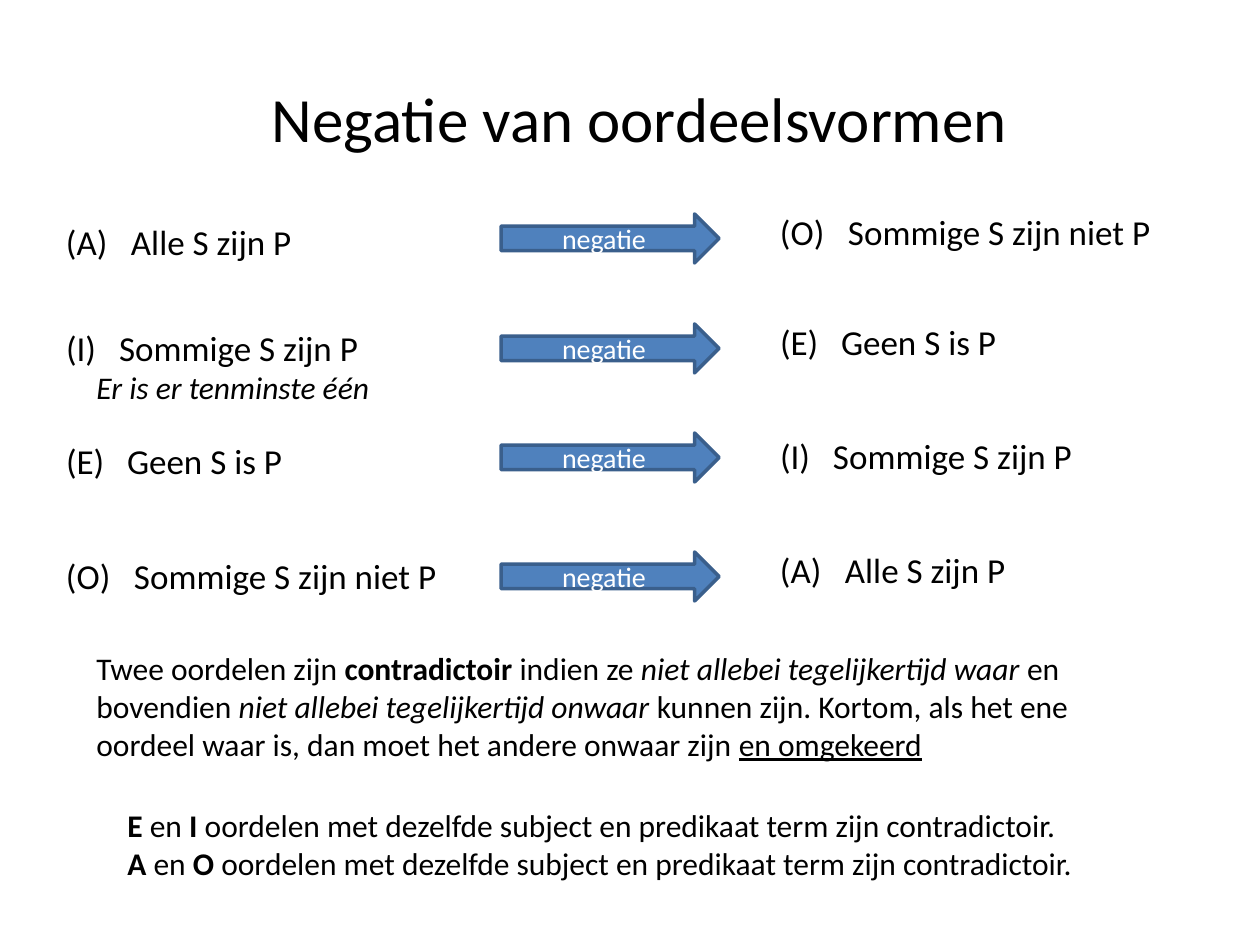
from pptx import Presentation
from pptx.dml.color import RGBColor
from pptx.enum.shapes import MSO_SHAPE
from pptx.enum.text import MSO_ANCHOR, PP_ALIGN
from pptx.oxml.ns import qn
from pptx.util import Pt
from lxml.etree import SubElement

EMU_PER_PX = 914400 / 126
FONT = "Calibri"
COLORS = {"background": "FFFFFF", "text": "000000", "arrow": "4F81BD",
          "arrow_line": "3A5F8C", "arrow_text": "FFFFFF"}

# letter: (statement, tab position, box width)
JUDGMENTS = {
    "A": ("Alle S zijn P", 65, 318),
    "I": ("Sommige S zijn P", 53, 369),
    "E": ("Geen S is P", 61, 297),
    "O": ("Sommige S zijn niet P", 68, 476),
}
# judgment, its negation, tops of left text, arrow and right text
ROWS = [("A", "O", 214, 214, 204), ("I", "E", 320, 324, 314),
        ("E", "I", 433, 433, 428), ("O", "A", 548, 552, 542)]

DEFINITION = [[
    ("Twee oordelen zijn ", ""), ("contradictoir", "b"), (" indien ze ", ""),
    ("niet allebei tegelijkertijd waar ", "i"), ("en bovendien ", ""),
    ("niet allebei tegelijkertijd onwaar", "i"),
    (" kunnen zijn. Kortom, als het ene oordeel waar is, dan moet het andere"
     " onwaar zijn ", ""),
    ("en omgekeerd", "u"),
]]
CONCLUSION = " oordelen met dezelfde subject en predikaat term zijn contradictoir."
CONCLUSIONS = [[(first, "b"), (" en ", ""), (second, "b"), (CONCLUSION, "")]
               for first, second in ("EI", "AO")]


def px(value):
    return round(value * EMU_PER_PX)


def color(name):
    return RGBColor.from_string(COLORS[name])


def style(paragraph, size, color_name="text"):
    font = paragraph.font
    font.name, font.size = FONT, Pt(size)
    font.color.rgb = color(color_name)


def add_text(slide, box, paragraphs, size=18):
    """Add a text box; each paragraph is a list of (text, marks from "biu")."""
    shape = slide.shapes.add_textbox(*map(px, box))
    frame = shape.text_frame
    frame.word_wrap = True
    for index, runs in enumerate(paragraphs):
        paragraph = frame.add_paragraph() if index else frame.paragraphs[0]
        style(paragraph, size)
        for text, marks in runs:
            run = paragraph.add_run()
            run.text = text
            if "b" in marks:
                run.font.bold = True
            if "i" in marks:
                run.font.italic = True
            if "u" in marks:
                run.font.underline = True
    return shape


def add_title(slide, box):
    title = slide.shapes.title
    title.left, title.top, title.width, title.height = map(px, box)
    frame = title.text_frame
    frame.text = "Negatie van oordeelsvormen"
    frame.vertical_anchor = MSO_ANCHOR.MIDDLE
    paragraph = frame.paragraphs[0]
    paragraph.alignment = PP_ALIGN.CENTER
    style(paragraph, 36)


def add_judgment(slide, left, top, letter):
    statement, tab_position, width = JUDGMENTS[letter]
    shape = slide.shapes.add_textbox(px(left), px(top), px(width), px(63))
    frame = shape.text_frame
    frame.word_wrap = True
    frame.margin_left = px(61)
    paragraph = frame.paragraphs[0]
    tabs = SubElement(paragraph._p.get_or_add_pPr(), qn("a:tabLst"))
    SubElement(tabs, qn("a:tab"), pos=str(px(tab_position)), algn="l")
    style(paragraph, 20)
    paragraph.add_run().text = f"({letter})\t{statement}"


def add_negation_arrow(slide, left, top):
    arrow = slide.shapes.add_shape(MSO_SHAPE.RIGHT_ARROW, px(left), px(top),
                                   px(218), px(49))
    arrow.shadow.inherit = False
    arrow.fill.solid()
    arrow.fill.fore_color.rgb = color("arrow")
    arrow.line.color.rgb = color("arrow_line")
    arrow.line.width = Pt(2)
    frame = arrow.text_frame
    frame.text = "negatie"
    frame.vertical_anchor = MSO_ANCHOR.MIDDLE
    paragraph = frame.paragraphs[0]
    paragraph.alignment = PP_ALIGN.CENTER
    style(paragraph, 16, "arrow_text")


def add_negations(slide, left):
    for letter, negation, left_top, arrow_top, right_top in ROWS:
        add_judgment(slide, left, left_top, letter)
        add_negation_arrow(slide, left + 496, arrow_top)
        add_judgment(slide, left + 714, right_top, negation)


def main():
    presentation = Presentation()
    presentation.slide_width, presentation.slide_height = px(1260), px(945)
    slide = presentation.slides.add_slide(presentation.slide_layouts[5])
    slide.background.fill.solid()
    slide.background.fill.fore_color.rgb = color("background")
    add_title(slide, (63, 38, 1153, 158))
    add_negations(slide, 5)
    add_text(slide, (84, 362, 417, 50), [[("Er is er tenminste één", "i")]])
    add_text(slide, (84, 643, 1091, 127), DEFINITION)
    add_text(slide, (115, 800, 1032, 89), CONCLUSIONS)
    presentation.save("out.pptx")


if __name__ == "__main__":
    main()
